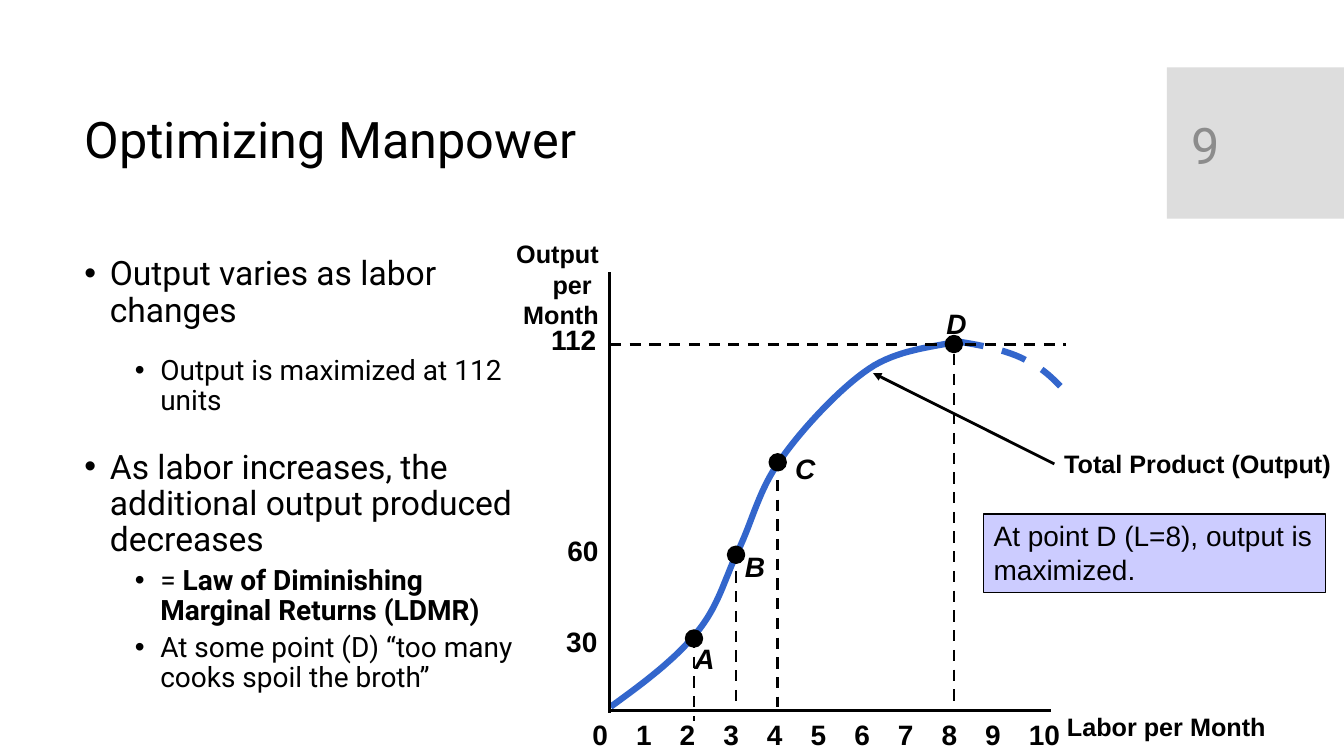
from lxml.etree import SubElement
from pptx import Presentation
from pptx.dml.color import RGBColor
from pptx.enum.dml import MSO_LINE
from pptx.enum.shapes import MSO_CONNECTOR, MSO_SHAPE
from pptx.enum.text import MSO_ANCHOR, MSO_AUTO_SIZE, PP_ALIGN
from pptx.oxml.ns import qn
from pptx.util import Cm, Pt

COLORS = {"ink": "000000", "tab": "DDDDDD", "number": "8C8C8C", "curve": "3366CC", "note": "CCCCFF"}

TITLE = "Optimizing Manpower"
PAGE_NUMBER = "9"
BULLETS = [
    (0, 0, [("Output varies as labor changes", False)]),
    (1, 19, [("Output is maximized at 112 units", False)]),
    (0, 24, [("As labor increases, the additional output produced decreases", False)]),
    (1, 5, [("= ", False), ("Law of Diminishing Marginal Returns (LDMR)", True)]),
    (1, 5, [("At some point (D) “too many cooks spoil the broth”", False)]),
]
LEVELS = [{"size": 24, "margin": 0.64}, {"size": 20, "margin": 1.91}]
NOTE = "At point D (L=8), output is maximized."
OUTPUT_TICKS = [("112", 13.64, 8.0, 1.68), ("60", 14.05, 13.31, 1.3), ("30", 14.02, 15.62, 1.3)]
LABOR_TICKS = range(11)
FIRST_TICK_LEFT, TICK_STEP, TICK_TOP = 14.68, 1.1, 17.96
POINTS = [
    {"name": "A", "dot": (17.49, 16.09), "label": (17.25, 16.05), "drop": (16.05, 18.16)},
    {"name": "B", "dot": (18.55, 13.98), "label": (18.52, 13.72), "drop": (14.4, 17.81)},
    {"name": "C", "dot": (19.6, 11.65), "label": (19.79, 11.25), "drop": (12.09, 17.81)},
    {"name": "D", "dot": (24.04, 8.67), "label": (23.6, 7.59), "drop": (8.92, 17.81)},
]
DOT_SIZE = 0.43
RISING_CURVE = [
    (15.39, 17.81), (16.21, 17.22), (17.02, 16.61), (17.55, 15.95),
    (18.11, 15.29), (18.26, 14.58), (18.62, 13.84),
    (18.97, 13.11), (19.13, 12.32), (19.69, 11.56),
    (20.22, 10.8), (21.18, 9.78), (21.89, 9.3),
    (22.63, 8.79), (23.62, 8.74), (24.08, 8.61),
]
FALLING_CURVE = [
    (24.16, 8.61), (24.79, 8.71), (25.43, 8.84), (25.88, 9.09),
    (26.37, 9.32), (26.67, 9.68), (27.0, 10.03),
]
CURVE_STEPS = 16


def color(name):
    return RGBColor.from_string(COLORS[name])


def add_span(para, text, ink="ink", **formats):
    span = para.add_run()
    span.text = text
    span.font.color.rgb = color(ink)
    for name, value in formats.items():
        setattr(span.font, name, Pt(value) if name == "size" else value)


def add_text(page, place, lines, wrap=True, align=PP_ALIGN.LEFT, anchor=MSO_ANCHOR.TOP, spacing=1.0, **formats):
    box = page.shapes.add_textbox(*map(Cm, place))
    frame = box.text_frame
    frame.word_wrap = wrap
    frame.auto_size = MSO_AUTO_SIZE.NONE if wrap else MSO_AUTO_SIZE.SHAPE_TO_FIT_TEXT
    frame.vertical_anchor = anchor
    for index, line in enumerate(lines):
        para = frame.add_paragraph() if index else frame.paragraphs[0]
        para.alignment = align
        para.line_spacing = spacing
        add_span(para, line, **formats)
    return box


def add_label(page, place, *lines, size=20, italic=False, align=PP_ALIGN.LEFT):
    return add_text(page, place, lines, wrap=False, align=align, name="Arial", size=size, bold=True, italic=italic)


def add_bullets(page, place):
    frame = page.shapes.add_textbox(*map(Cm, place)).text_frame
    frame.word_wrap = True
    for index, (level, space, spans) in enumerate(BULLETS):
        para = frame.add_paragraph() if index else frame.paragraphs[0]
        para.level = level
        para.line_spacing = 0.9
        para.space_before = Pt(space)
        properties = para._p.get_or_add_pPr()
        properties.set("marL", str(Cm(LEVELS[level]["margin"])))
        properties.set("indent", str(-Cm(0.64)))
        SubElement(properties, qn("a:buFont"), typeface="Arial")
        SubElement(properties, qn("a:buChar"), char="•")
        for text, bold in spans:
            add_span(para, text, name="Roboto", size=LEVELS[level]["size"], bold=bold)


def add_block(page, kind, place, fill, border=None):
    block = page.shapes.add_shape(kind, *map(Cm, place))
    block.shadow.inherit = False
    block.fill.solid()
    block.fill.fore_color.rgb = color(fill)
    if border:
        block.line.color.rgb = color(border)
        block.line.width = Pt(1)
    else:
        block.line.fill.background()
    return block


def add_rule(page, start, end, dashed=False):
    rule = page.shapes.add_connector(MSO_CONNECTOR.STRAIGHT, *map(Cm, start + end))
    rule.line.color.rgb = color("ink")
    rule.line.width = Pt(2)
    if dashed:
        rule.line.dash_style = MSO_LINE.DASH
    SubElement(rule._element.spPr, qn("a:effectLst"))
    return rule


def trace_curve(knots):
    traced = [knots[0]]
    for first in range(0, len(knots) - 1, 3):
        segment = knots[first:first + 4]
        for step in range(1, CURVE_STEPS + 1):
            t = step / CURVE_STEPS
            weights = ((1 - t) ** 3, 3 * t * (1 - t) ** 2, 3 * t * t * (1 - t), t ** 3)
            traced.append(tuple(sum(w * knot[axis] for w, knot in zip(weights, segment)) for axis in (0, 1)))
    return traced


def add_curve(page, knots, dashed=False):
    vertices = [(Cm(x), Cm(y)) for x, y in trace_curve(knots)]
    builder = page.shapes.build_freeform(*vertices[0])
    builder.add_line_segments(vertices[1:], close=False)
    curve = builder.convert_to_shape()
    curve.shadow.inherit = False
    curve.fill.background()
    curve.line.color.rgb = color("curve")
    curve.line.width = Pt(4.5)
    if dashed:
        curve.line.dash_style = MSO_LINE.DASH


def add_note(page):
    note = add_block(page, MSO_SHAPE.RECTANGLE, (24.79, 12.95, 8.61, 1.98), "note", "ink")
    frame = note.text_frame
    frame.word_wrap = True
    frame.vertical_anchor = MSO_ANCHOR.TOP
    para = frame.paragraphs[0]
    para.alignment = PP_ALIGN.LEFT
    add_span(para, NOTE, name="Arial", size=20)


def add_graph(page):
    add_curve(page, FALLING_CURVE, dashed=True)
    add_curve(page, RISING_CURVE)
    add_note(page)
    add_rule(page, (15.37, 6.86), (15.37, 17.96))
    add_rule(page, (15.37, 17.91), (26.49, 17.91))
    add_label(page, (26.64, 17.81, 5.51, 1.02), "Labor per Month", size=18)
    add_label(page, (12.75, 5.89, 2.59, 2.54), "Output", "per ", "Month", size=18, align=PP_ALIGN.RIGHT)
    for tick in LABOR_TICKS:
        width = 1.3 if tick > 9 else 0.89
        add_label(page, (FIRST_TICK_LEFT + TICK_STEP * tick, TICK_TOP, width, 1.09), str(tick))
    for text, left, top, width in OUTPUT_TICKS:
        add_label(page, (left, top, width, 1.09), text)

    product = add_label(page, (26.57, 11.18, 7.29, 1.02), "Total Product (Output)", size=18)
    arrow = add_rule(page, (26.57, 11.69), (22.0, 9.4))
    arrow.begin_connect(product, 1)
    SubElement(arrow.line._get_or_add_ln(), qn("a:tailEnd"), type="triangle")

    add_rule(page, (15.37, 8.69), (26.87, 8.69), dashed=True)
    for point in POINTS:
        x, y = point["dot"]
        top, bottom = point["drop"]
        add_rule(page, (x, top), (x, bottom), dashed=True)
        add_label(page, point["label"] + (1.02, 1.09), point["name"], italic=True)
        corner = (x - DOT_SIZE / 2, y - DOT_SIZE / 2)
        add_block(page, MSO_SHAPE.OVAL, corner + (DOT_SIZE, DOT_SIZE), "ink", "ink")


def main():
    deck = Presentation()
    deck.slide_width, deck.slide_height = Cm(33.87), Cm(19.05)
    page = deck.slides.add_slide(deck.slide_layouts[6])
    heading = {"anchor": MSO_ANCHOR.MIDDLE, "name": "Roboto", "size": 36}
    add_block(page, MSO_SHAPE.RECTANGLE, (29.41, 1.7, 4.46, 3.81), "tab")
    add_text(page, (1.88, 2.08, 26.7, 3.0), [TITLE], spacing=0.9, **heading)
    add_text(page, (29.79, 2.13, 3.2, 3.02), [PAGE_NUMBER], ink="number", **heading)
    add_bullets(page, (1.88, 6.35, 11.66, 11.79))
    add_graph(page)
    deck.save("out.pptx")


if __name__ == "__main__":
    main()
